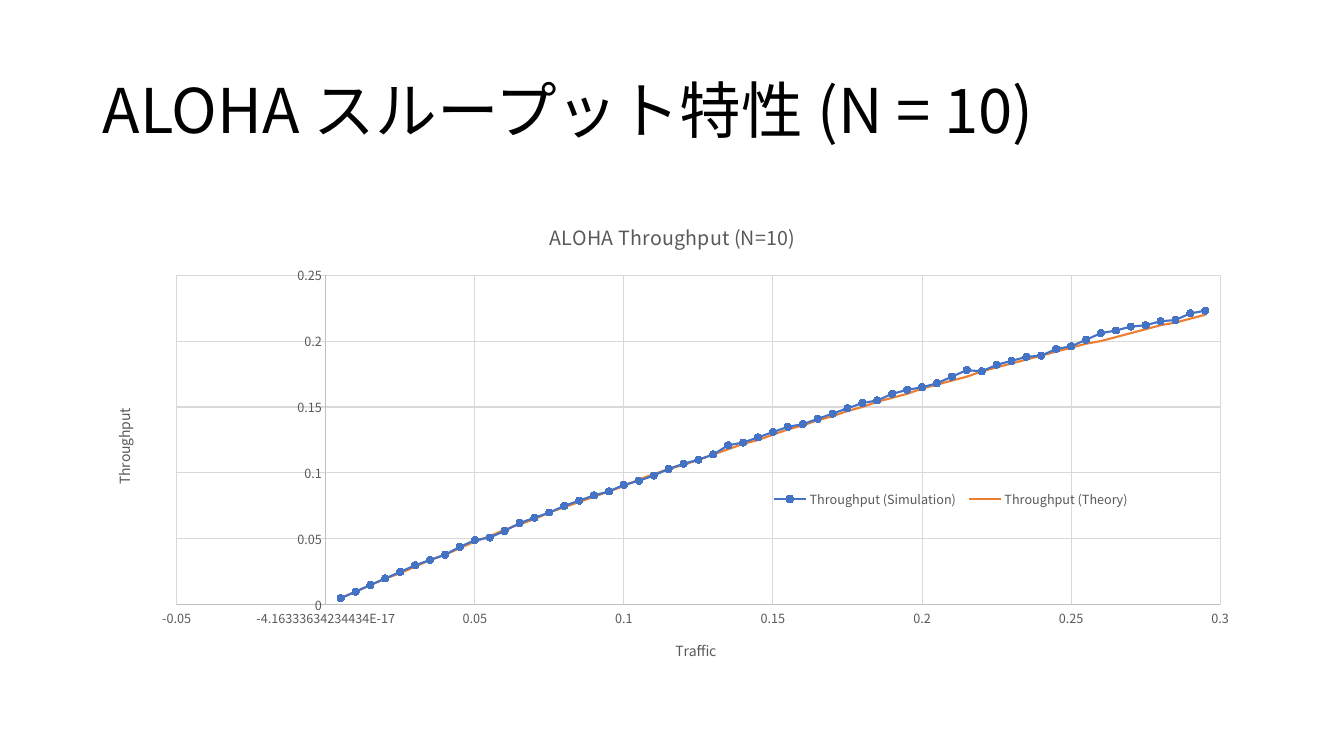
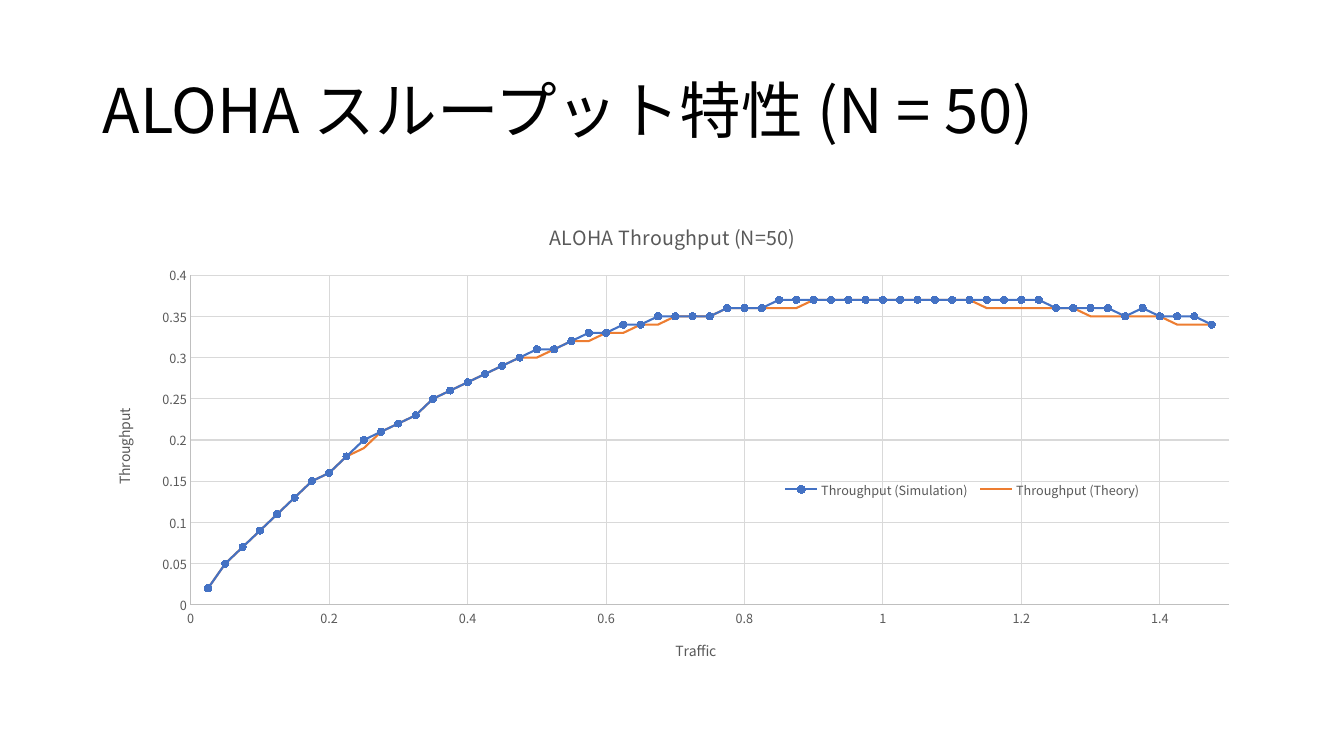
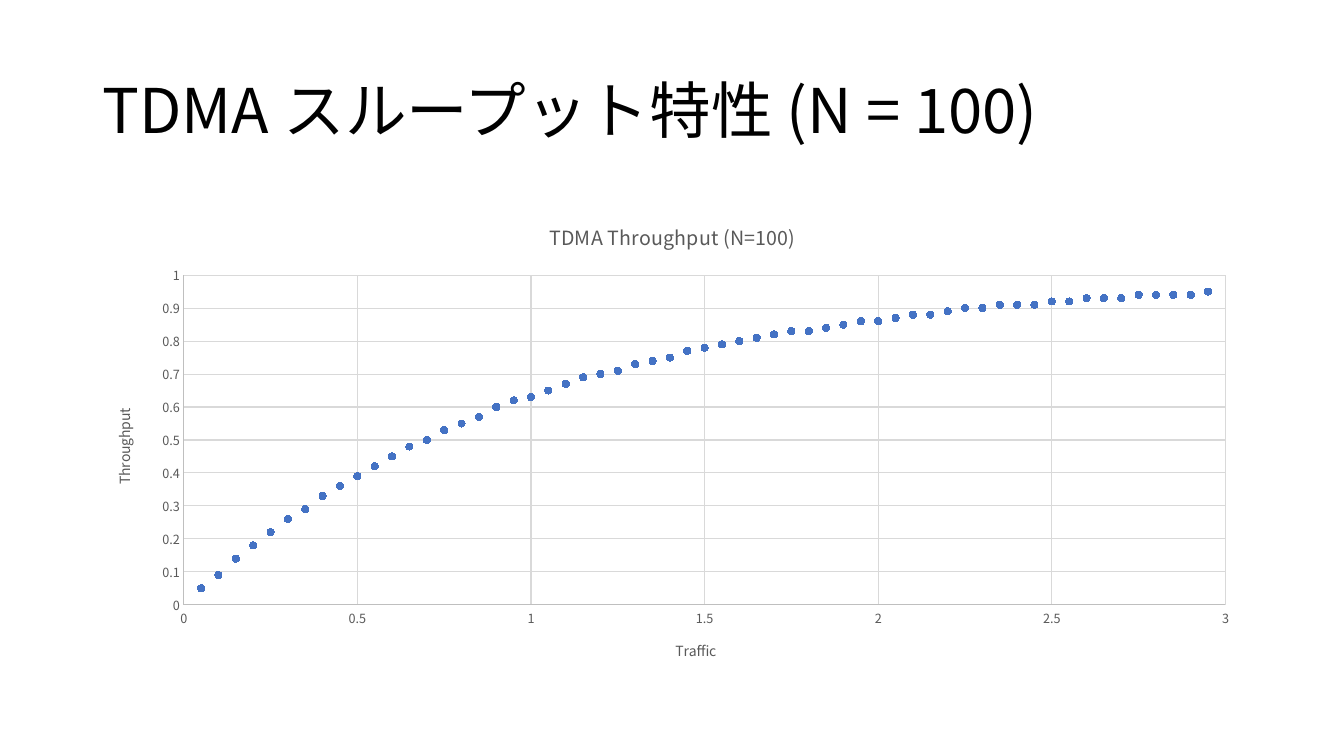
from math import exp

from lxml import etree
from pptx import Presentation
from pptx.chart.data import XyChartData
from pptx.dml.color import RGBColor
from pptx.enum.chart import XL_CHART_TYPE, XL_LEGEND_POSITION, XL_MARKER_STYLE, XL_TICK_MARK
from pptx.enum.text import MSO_ANCHOR
from pptx.oxml import parse_xml
from pptx.oxml.ns import qn
from pptx.util import Inches, Pt

LINES = XL_CHART_TYPE.XY_SCATTER_LINES
DOTS = XL_CHART_TYPE.XY_SCATTER
LEGEND_RIGHT = XL_LEGEND_POSITION.RIGHT
CIRCLE = XL_MARKER_STYLE.CIRCLE
NO_MARKER = XL_MARKER_STYLE.NONE
NO_TICK = XL_TICK_MARK.NONE
MIDDLE = MSO_ANCHOR.MIDDLE

FONT = "Noto Sans CJK JP"
BLACK, GREY, AXIS, GRID = "000000", "595959", "BFBFBF", "D9D9D9"
BLUE, ORANGE = "4472C4", "ED7D31"
TITLE_BOX = (0.92, 0.4, 11.5, 1.45)
CHART_BOX = (0.92, 2, 11.5, 4.76)
SIMULATION, THEORY = "Throughput (Simulation)", "Throughput (Theory)"

ALOHA_10 = [
    0.005, 0.01, 0.015, 0.02, 0.025, 0.03, 0.034, 0.038, 0.044, 0.049,
    0.051, 0.056, 0.062, 0.066, 0.07, 0.075, 0.079, 0.083, 0.086, 0.091,
    0.094, 0.098, 0.103, 0.107, 0.11, 0.114, 0.121, 0.123, 0.127, 0.131,
    0.135, 0.137, 0.141, 0.145, 0.149, 0.153, 0.155, 0.16, 0.163, 0.165,
    0.168, 0.173, 0.178, 0.177, 0.182, 0.185, 0.188, 0.189, 0.194, 0.196,
    0.201, 0.206, 0.208, 0.211, 0.212, 0.215, 0.216, 0.221, 0.223,
]
ALOHA_50 = [
    0.02, 0.05, 0.07, 0.09, 0.11, 0.13, 0.15, 0.16, 0.18, 0.2,
    0.21, 0.22, 0.23, 0.25, 0.26, 0.27, 0.28, 0.29, 0.3, 0.31,
    0.31, 0.32, 0.33, 0.33, 0.34, 0.34, 0.35, 0.35, 0.35, 0.35,
    0.36, 0.36, 0.36, 0.37, 0.37, 0.37, 0.37, 0.37, 0.37, 0.37,
    0.37, 0.37, 0.37, 0.37, 0.37, 0.37, 0.37, 0.37, 0.37, 0.36,
    0.36, 0.36, 0.36, 0.35, 0.36, 0.35, 0.35, 0.35, 0.34,
]
TDMA_100 = [
    0.05, 0.09, 0.14, 0.18, 0.22, 0.26, 0.29, 0.33, 0.36, 0.39,
    0.42, 0.45, 0.48, 0.5, 0.53, 0.55, 0.57, 0.6, 0.62, 0.63,
    0.65, 0.67, 0.69, 0.7, 0.71, 0.73, 0.74, 0.75, 0.77, 0.78,
    0.79, 0.8, 0.81, 0.82, 0.83, 0.83, 0.84, 0.85, 0.86, 0.86,
    0.87, 0.88, 0.88, 0.89, 0.9, 0.9, 0.91, 0.91, 0.91, 0.92,
    0.92, 0.93, 0.93, 0.93, 0.94, 0.94, 0.94, 0.94, 0.95,
]


def rgb(code):
    return RGBColor.from_string(code)


def style_font(font, size, color):
    font.name = FONT
    font.size = Pt(size)
    font.bold = False
    font.color.rgb = rgb(color)


def style_line(line, color, width):
    line.color.rgb = rgb(color)
    line.width = Pt(width)


def write_chart_text(holder, text, size):
    holder.text_frame.text = text
    style_font(holder.text_frame.paragraphs[0].font, size, GREY)


def add_title(slide, box, text):
    heading = slide.shapes.add_textbox(*map(Inches, box)).text_frame
    heading.word_wrap = True
    heading.vertical_anchor = MIDDLE
    paragraph = heading.paragraphs[0]
    paragraph.line_spacing = 0.9
    run = paragraph.add_run()
    run.text = text
    style_font(run.font, 44, BLACK)
    east_asian = etree.SubElement(run.font._element, qn("a:ea"))
    east_asian.set("typeface", FONT)


def style_axis(axis, text):
    axis.has_title = True
    write_chart_text(axis.axis_title, text, 10)
    axis.major_tick_mark = NO_TICK
    axis.minor_tick_mark = NO_TICK
    style_font(axis.tick_labels.font, 9, GREY)
    style_line(axis.format.line, AXIS, 0.75)
    axis.has_major_gridlines = True
    style_line(axis.major_gridlines.format.line, GRID, 0.75)


def style_series(series, color, marked, joined):
    if joined:
        style_line(series.format.line, color, 1.5)
    else:
        series.format.line.fill.background()
    series.marker.style = CIRCLE if marked else NO_MARKER
    if marked:
        series.marker.size = 5
        series.marker.format.fill.solid()
        series.marker.format.fill.fore_color.rgb = rgb(color)
        style_line(series.marker.format.line, color, 0.75)


def add_legend(chart, left, top):
    chart.has_legend = True
    legend = chart.legend
    legend.position = LEGEND_RIGHT
    legend.include_in_layout = True
    style_font(legend.font, 9, GREY)
    places = {"xMode": "edge", "yMode": "edge", "x": left, "y": top, "w": 0.32, "h": 0.06}
    entries = "".join(f'<c:{key} val="{value}"/>' for key, value in places.items())
    legend._element.get_or_add_layout().append(parse_xml(
        '<c:manualLayout xmlns:c="http://schemas.openxmlformats.org/drawingml/2006/chart">'
        f"{entries}</c:manualLayout>"))


def add_throughput_chart(slide, box, title, curves, step, low, high, legend_at):
    data = XyChartData()
    for name, throughputs in curves:
        points = data.add_series(name)
        for number, throughput in enumerate(throughputs, 1):
            points.add_data_point(round(number * step, 3), throughput)
    joined = len(curves) > 1
    chart = slide.shapes.add_chart(LINES if joined else DOTS, *map(Inches, box), data).chart
    style_font(chart.font, 10, BLACK)
    chart.has_title = True
    write_chart_text(chart.chart_title, title, 14)
    chart.plots[0].vary_by_categories = False
    style_axis(chart.category_axis, "Traffic")
    style_axis(chart.value_axis, "Throughput")
    chart.category_axis.minimum_scale = low
    chart.category_axis.maximum_scale = high
    for index, (series, color) in enumerate(zip(chart.plots[0].series, (BLUE, ORANGE))):
        style_series(series, color, index == 0, joined)
    chart.has_legend = False
    if legend_at:
        add_legend(chart, *legend_at)


def add_result_slide(deck, method, stations, curves, step, low, high, legend_at):
    slide = deck.slides.add_slide(deck.slide_layouts[6])
    add_title(slide, TITLE_BOX, f"{method} スループット特性 (N = {stations})")
    add_throughput_chart(slide, CHART_BOX, f"{method} Throughput (N={stations})",
                         curves, step, low, high, legend_at)


def aloha_curves(simulated, step, digits):
    traffic = [number * step for number in range(1, len(simulated) + 1)]
    theory = [round(load * exp(-load), digits) for load in traffic]
    return [(SIMULATION, simulated), (THEORY, theory)]


def main():
    deck = Presentation()
    deck.slide_width, deck.slide_height = Inches(13.33), Inches(7.5)
    add_result_slide(deck, "ALOHA", 10, aloha_curves(ALOHA_10, 0.005, 3),
                     0.005, None, 0.3, (0.58, 0.59))
    add_result_slide(deck, "ALOHA", 50, aloha_curves(ALOHA_50, 0.025, 2),
                     0.025, 0, 1.5, (0.59, 0.57))
    add_result_slide(deck, "TDMA", 100, [("Series 1", TDMA_100)], 0.05, None, 3, None)
    deck.save("out.pptx")


if __name__ == "__main__":
    main()
